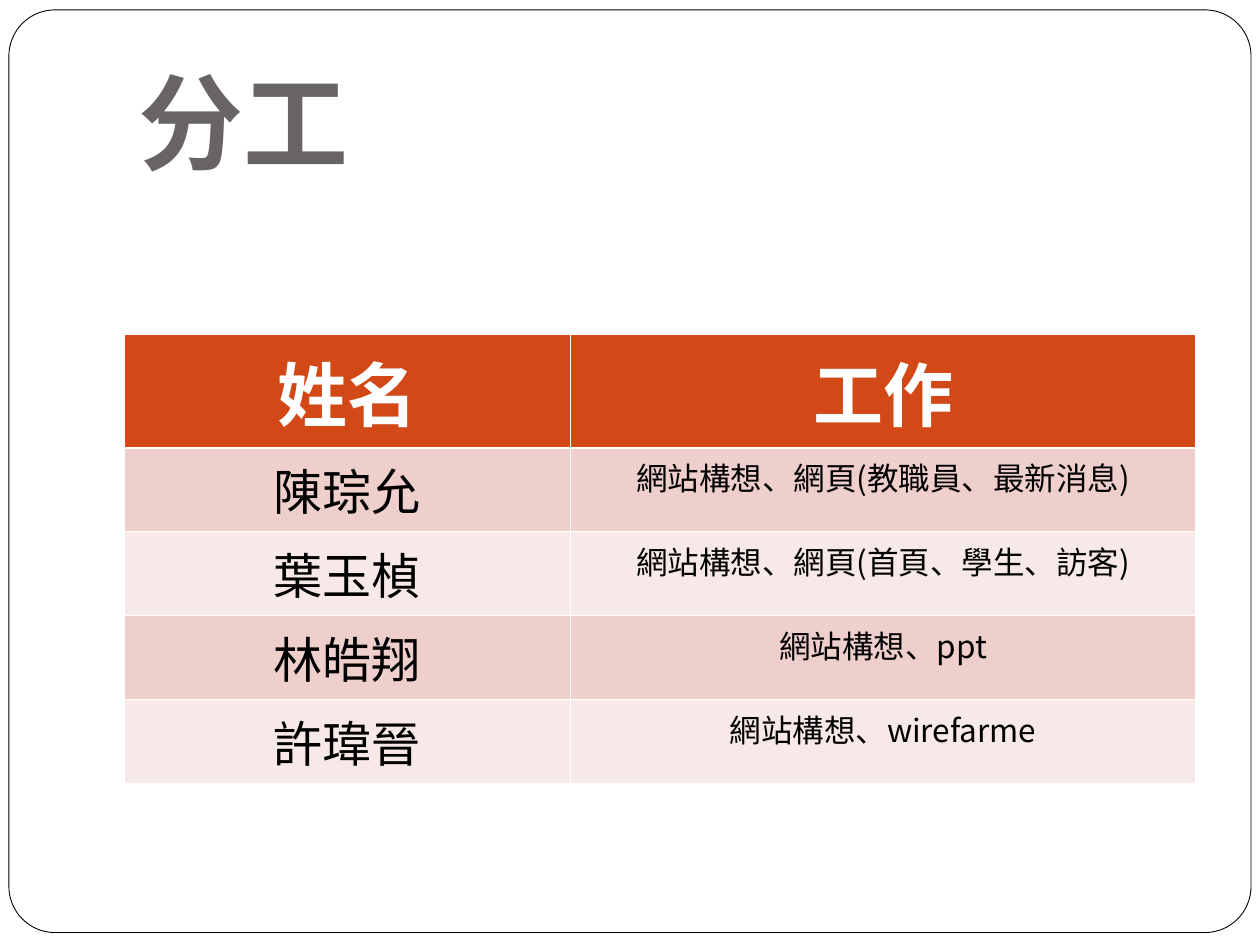
from dataclasses import dataclass

import lxml.etree
import pptx
import pptx.dml.color
import pptx.enum.shapes
import pptx.enum.text
import pptx.oxml.ns
import pptx.util

Cm = pptx.util.Cm
Pt = pptx.util.Pt
qn = pptx.oxml.ns.qn


@dataclass(frozen=True)
class Theme:
    title_font: str = "Karla"
    table_font: str = "Noto Sans CJK SC"
    title_size: int = 60
    head_size: int = 40
    name_size: int = 28
    task_size: int = 18
    white: str = "FFFFFF"
    black: str = "000000"
    grey: str = "696464"
    header: str = "D34817"
    bands: tuple = ("EFCFCC", "F7E9E7")
    thin: float = 0.45
    thick: float = 1.47


THEME = Theme()
HEADINGS = ("姓名", "工作")
MEMBERS = (
    ("陳琮允", "網站構想、網頁(教職員、最新消息)"),
    ("葉玉楨", "網站構想、網頁(首頁、學生、訪客)"),
    ("林皓翔", "網站構想、ppt"),
    ("許瑋晉", "網站構想、wirefarme"),
)


def rgb(color):
    return pptx.dml.color.RGBColor.from_string(color)


def set_font(p, name, size, color, bold):
    p.font.name = name
    p.font.size = Pt(size)
    p.font.color.rgb = rgb(color)
    p.font.bold = bold


def set_borders(cell, top, bottom):
    tcPr = cell._tc.get_or_add_tcPr()
    widths = {"lnL": THEME.thin, "lnR": THEME.thin, "lnT": top, "lnB": bottom}
    for i, (tag, width) in enumerate(widths.items()):
        ln = lxml.etree.Element(qn("a:" + tag), w=str(Pt(width)))
        fill = lxml.etree.SubElement(ln, qn("a:solidFill"))
        lxml.etree.SubElement(fill, qn("a:srgbClr"), val=THEME.white)
        tcPr.insert(i, ln)


def add_frame(s, left, top, width, height):
    sp = s.shapes.add_shape(
        pptx.enum.shapes.MSO_SHAPE.ROUNDED_RECTANGLE,
        Cm(left), Cm(top), Cm(width), Cm(height))
    sp.adjustments[0] = 0.05
    sp.shadow.inherit = False
    sp.fill.solid()
    sp.fill.fore_color.rgb = rgb(THEME.white)
    sp.line.color.rgb = rgb(THEME.black)
    sp.line.width = Pt(0.5)
    s.shapes._spTree.insert(2, sp._element)


def place_title(s, text, left, top, width, height):
    sp = s.shapes.title
    sp.left, sp.top, sp.width, sp.height = Cm(left), Cm(top), Cm(width), Cm(height)
    tf = sp.text_frame
    tf.text = text
    tf.word_wrap = True
    tf.auto_size = pptx.enum.text.MSO_AUTO_SIZE.NONE
    tf.vertical_anchor = pptx.enum.text.MSO_ANCHOR.BOTTOM
    tf.margin_bottom = Cm(0.25)
    p = tf.paragraphs[0]
    p.alignment = pptx.enum.text.PP_ALIGN.LEFT
    set_font(p, THEME.title_font, THEME.title_size, THEME.grey, True)


def fill_cell(cell, text, row, col):
    is_head = row == 0
    if is_head:
        fill, color, size = THEME.header, THEME.white, THEME.head_size
    else:
        fill, color = THEME.bands[(row - 1) % 2], THEME.black
        size = (THEME.name_size, THEME.task_size)[col]
    cell.text = text
    cell.fill.solid()
    cell.fill.fore_color.rgb = rgb(fill)
    p = cell.text_frame.paragraphs[0]
    p.alignment = pptx.enum.text.PP_ALIGN.CENTER
    set_font(p, THEME.table_font, size, color, is_head)
    set_borders(cell,
                THEME.thick if row == 1 else THEME.thin,
                THEME.thick if is_head else THEME.thin)


def add_duty_table(s, left, top, width, height):
    rows = (HEADINGS,) + MEMBERS
    head_height, name_width = 2.3, 9
    body_height = (height - head_height) / len(MEMBERS)
    table = s.shapes.add_table(
        len(rows), len(HEADINGS), Cm(left), Cm(top), Cm(width), Cm(height)).table
    table.columns[0].width = Cm(name_width)
    table.columns[1].width = Cm(width - name_width)
    for r, texts in enumerate(rows):
        table.rows[r].height = Cm(body_height if r else head_height)
        for c, text in enumerate(texts):
            fill_cell(table.cell(r, c), text, r, c)


def main():
    prs = pptx.Presentation()
    prs.slide_width, prs.slide_height = Cm(25.4), Cm(19.05)
    s = prs.slides.add_slide(prs.slide_layouts[5])
    add_frame(s, 0.18, 0.2, 25.04, 18.6)
    place_title(s, "分工", 2.54, 0.76, 21.6, 3.18)
    add_duty_table(s, 2.5, 6.73, 21.6, 9.06)
    prs.save("out.pptx")


if __name__ == "__main__":
    main()
